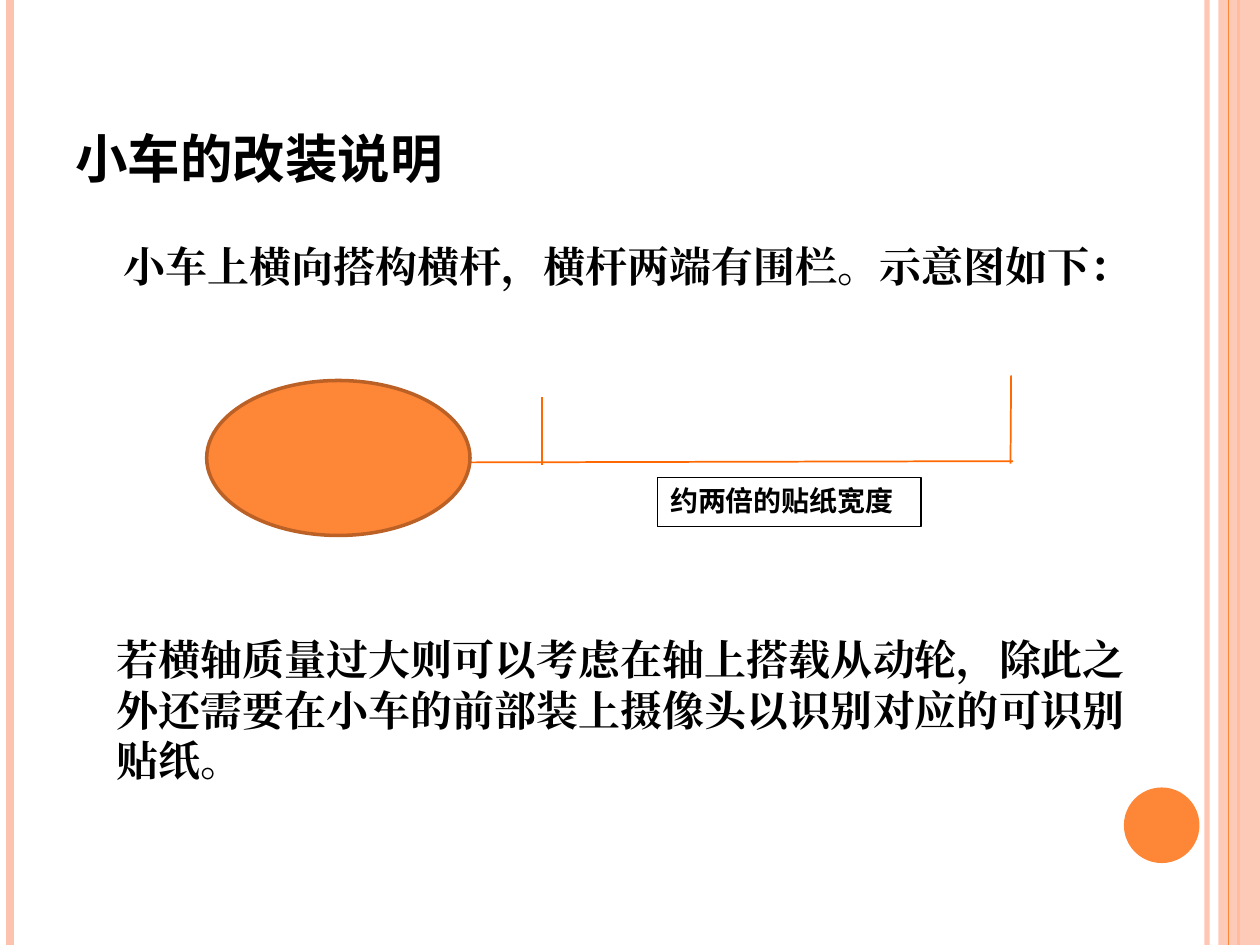
from dataclasses import dataclass
from typing import Optional

from lxml import etree
from pptx import Presentation
from pptx.dml.color import RGBColor
from pptx.enum.shapes import MSO_CONNECTOR, MSO_SHAPE
from pptx.enum.text import MSO_ANCHOR, PP_ALIGN
from pptx.oxml.ns import qn
from pptx.util import Inches, Pt

STRAIGHT = MSO_CONNECTOR.STRAIGHT
RECT, OVAL = MSO_SHAPE.RECTANGLE, MSO_SHAPE.OVAL
TOP, BOTTOM = MSO_ANCHOR.TOP, MSO_ANCHOR.BOTTOM
LEFT, JUSTIFY = PP_ALIGN.LEFT, PP_ALIGN.JUSTIFY

# Grid of 100 columns by 75 rows; one cell is a tenth of an inch
COLS, ROWS = 100, 75
CELL = Inches(0.1)


@dataclass(frozen=True)
class Theme:
    orange: str = "FE8637"
    peach: str = "FEC3AE"
    bar: str = "FF6903"
    rim: str = "BB6126"
    ink: str = "000000"
    paper: str = "FFFFFF"
    sans: str = "Noto Sans CJK SC"
    serif: str = "Cambria"
    title: int = 30
    body: int = 24
    label: int = 16


THEME = Theme()


@dataclass(frozen=True)
class Line:
    start: tuple[float, float]
    end: tuple[float, float]
    color: str
    weight: float
    opacity: int = 100


@dataclass(frozen=True)
class Shape:
    kind: int
    box: tuple[float, float, float, float]
    fill: str
    rim: Optional[str] = None
    weight: float = 0
    opacity: int = 100


@dataclass(frozen=True)
class Words:
    text: str
    size: int
    font: str
    anchor: int = TOP
    align: int = LEFT


def cells(values) -> list[int]:
    return [round(value * CELL) for value in values]


def stripe(col: float, color: str, weight: float, opacity: int = 100) -> Line:
    return Line((col, 0), (col, ROWS), color, weight, opacity)


def fade(fill_parent, opacity: int) -> None:
    """Make the solid fill below this element partly transparent."""
    if opacity < 100:
        color = fill_parent.find(qn("a:solidFill"))[0]
        etree.SubElement(color, qn("a:alpha"), val=str(opacity * 1000))


def draw_line(slide, line: Line) -> None:
    connector = slide.shapes.add_connector(STRAIGHT, *cells(line.start + line.end))
    connector.line.color.rgb = RGBColor.from_string(line.color)
    connector.line.width = Pt(line.weight)
    properties = connector._element.spPr
    fade(properties.find(qn("a:ln")), line.opacity)
    etree.SubElement(properties, qn("a:effectLst"))


def draw_shape(slide, item: Shape):
    shape = slide.shapes.add_shape(item.kind, *cells(item.box))
    shape.shadow.inherit = False
    shape.fill.solid()
    shape.fill.fore_color.rgb = RGBColor.from_string(item.fill)
    fade(shape._element.spPr, item.opacity)
    if item.rim:
        shape.line.color.rgb = RGBColor.from_string(item.rim)
        shape.line.width = Pt(item.weight)
    else:
        shape.line.fill.background()
    return shape


def write(shape, words: Words) -> None:
    frame = shape.text_frame
    frame.word_wrap = True
    frame.vertical_anchor = words.anchor
    paragraph = frame.paragraphs[0]
    paragraph.alignment = words.align
    run = paragraph.add_run()
    run.text = words.text
    for name, value in {"size": Pt(words.size), "bold": True, "name": words.font}.items():
        setattr(run.font, name, value)
    run.font.color.rgb = RGBColor.from_string(THEME.ink)
    # Chinese characters take the East Asian typeface
    latin = run._r.rPr.find(qn("a:latin"))
    east_asian = etree.Element(qn("a:ea"), typeface=words.font)
    latin.addnext(east_asian)


# Frame of the page, from back to front
FRAME_LINES = [
    stripe(95.8, THEME.peach, 3, 93),
    stripe(0.8, THEME.peach, 4.5),
    stripe(98.3, THEME.orange, 1.5),
]
SIDE_BAND = Shape(RECT, (96.7, 0, 3.3, ROWS), THEME.peach, opacity=87)
BAND_LINE = stripe(97.5, THEME.orange, 0.75)
PAGE_DOT = Shape(OVAL, (89.2, 62.5, 6, 6), THEME.orange)

# Car with a crossbar and a fence at either end
CROSSBAR = [
    Line((37.4, 36.7), (80.4, 36.6), THEME.bar, 1),
    Line((80.25, 29.8), (80.2, 36.8), THEME.bar, 1),
    Line((43, 31.5), (43, 36.9), THEME.bar, 1),
]
CAR = Shape(OVAL, (16.4, 30.2, 20.9, 12.3), THEME.orange, THEME.rim, 2)
WIDTH_NOTE = Shape(RECT, (52.2, 37.9, 20.9, 3.9), THEME.paper, THEME.ink, 0.75)
WIDTH_WORDS = Words("约两倍的贴纸宽度", THEME.label, THEME.sans, align=JUSTIFY)

# Title and paragraphs with their boxes
TEXTS = [
    ((5, 3, 81.7, 12.5),
     Words("小车的改装说明", THEME.title, THEME.sans, BOTTOM)),
    ((8.8, 18.6, 86.8, 5),
     Words("小车上横向搭构横杆，横杆两端有围栏。示意图如下：", THEME.body, THEME.serif)),
    ((8.3, 49.8, 83.5, 13),
     Words("若横轴质量过大则可以考虑在轴上搭载从动轮，除此之外还需要在小车的前部装上"
           "摄像头以识别对应的可识别贴纸。", THEME.body, THEME.serif)),
]


def main() -> None:
    deck = Presentation()
    deck.slide_width, deck.slide_height = cells((COLS, ROWS))
    slide = deck.slides.add_slide(deck.slide_layouts[6])

    for line in FRAME_LINES:
        draw_line(slide, line)
    draw_shape(slide, SIDE_BAND)
    draw_line(slide, BAND_LINE)
    draw_shape(slide, PAGE_DOT)

    for line in CROSSBAR:
        draw_line(slide, line)
    draw_shape(slide, CAR)
    write(draw_shape(slide, WIDTH_NOTE), WIDTH_WORDS)

    for box, words in TEXTS:
        write(slide.shapes.add_textbox(*cells(box)), words)

    deck.save("out.pptx")


if __name__ == "__main__":
    main()
